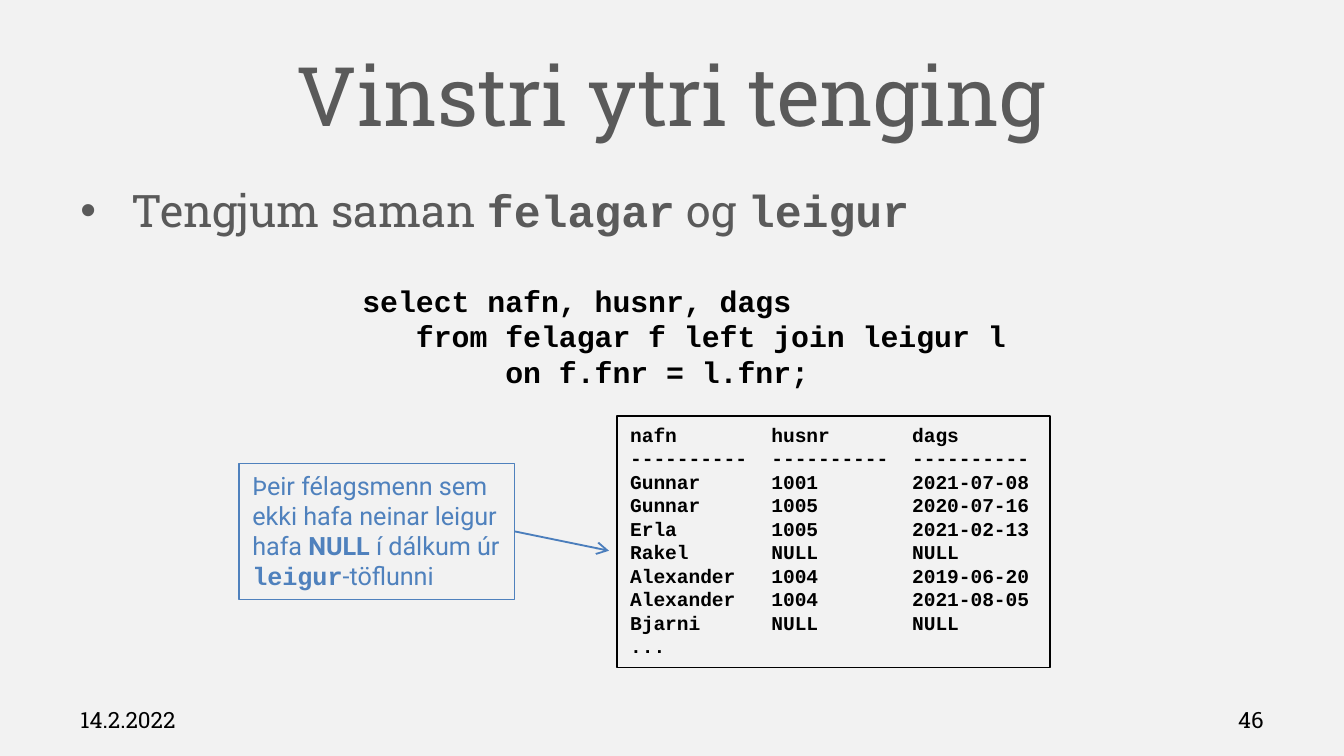
"""Build the slide on the left outer join."""
from lxml.etree import SubElement
from pptx import Presentation
from pptx.dml.color import RGBColor
from pptx.enum.shapes import MSO_CONNECTOR as Connector, MSO_SHAPE as Shape
from pptx.enum.text import MSO_ANCHOR as Anchor, PP_ALIGN as Align
from pptx.oxml.ns import qn
from pptx.util import Cm, Pt

SLAB, SANS, MONO = "Roboto Slab", "Roboto", "Courier New"
GREY, BLUE, BLACK = "5A5A5A", "4F81BD", "000000"


def color(value):
    return RGBColor.from_string(value)


def add_text(box, paragraphs, size, font=SLAB, fill=BLACK, bold=False, align=Align.LEFT,
             anchor=Anchor.TOP, border=None, bullet=None, tabs=()):
    left, top, width, height = (Cm(length) for length in box)
    if border:
        shape = slide.shapes.add_shape(Shape.RECTANGLE, left, top, width, height)
        shape.shadow.inherit = False
        shape.fill.background()
        shape.line.color.rgb = color(fill)
        shape.line.width = Pt(border)
    else:
        shape = slide.shapes.add_textbox(left, top, width, height)
    frame = shape.text_frame
    frame.word_wrap = True
    frame.vertical_anchor = anchor
    for index, runs in enumerate(paragraphs):
        paragraph = frame.add_paragraph() if index else frame.paragraphs[0]
        paragraph.alignment = align
        properties = paragraph._p.get_or_add_pPr()
        if bullet:
            properties.set("marL", str(Cm(0.97)))
            properties.set("indent", str(-Cm(0.97)))
            SubElement(properties, qn("a:buFont"), typeface="Arial")
            SubElement(properties, qn("a:buChar"), char=bullet)
        if tabs:
            tab_list = SubElement(properties, qn("a:tabLst"))
            for position in tabs:
                SubElement(tab_list, qn("a:tab"), pos=str(Cm(position)), algn="l")
        for text, run_font, run_bold in [(runs, font, bold)] if isinstance(runs, str) else runs:
            run = paragraph.add_run()
            run.text = text
            run.font.name = run_font
            run.font.size = Pt(size)
            run.font.bold = run_bold
            run.font.color.rgb = color(fill)
    return shape


presentation = Presentation()
presentation.slide_width = Cm(25.4)
presentation.slide_height = Cm(14.29)
slide = presentation.slides.add_slide(presentation.slide_layouts[6])
slide.background.fill.solid()
slide.background.fill.fore_color.rgb = color("F2F2F2")

add_text((1.27, 0.58, 22.86, 2.39), ["Vinstri ytri tenging"], 44, fill=GREY,
         align=Align.CENTER, anchor=Anchor.MIDDLE)

intro = [("Tengjum saman ", SLAB, False), ("felagar", MONO, True),
         (" og ", SLAB, False), ("leigur", MONO, True)]
add_text((1.27, 3.33, 22.86, 9.42), [intro], 24, fill=GREY, bullet="•")

query = ["select nafn, husnr, dags",
         "   from felagar f left join leigur l",
         "        on f.fnr = l.fnr;"]
add_text((6.6, 5.21, 13, 2.31), query, 16, font=MONO, bold=True)

result = [("nafn", "husnr", "dags"),
          ("-" * 10,) * 3,
          ("Gunnar", "1001", "2021-07-08"),
          ("Gunnar", "1005", "2020-07-16"),
          ("Erla", "1005", "2021-02-13"),
          ("Rakel", "NULL", "NULL"),
          ("Alexander", "1004", "2019-06-20"),
          ("Alexander", "1004", "2021-08-05"),
          ("Bjarni", "NULL", "NULL"),
          ("...",)]
add_text((11.66, 7.87, 8.18, 4.75), ["\t".join(row) for row in result], 10.5,
         font=MONO, bold=True, border=1, tabs=(2.67, 5.33))

explanation = [("Þeir félagsmenn sem ekki hafa neinar leigur hafa ", SANS, False),
               ("NULL", SANS, True), (" í dálkum úr ", SANS, False),
               ("leigur", MONO, True), ("-töflunni", SANS, False)]
note = add_text((4.52, 8.76, 5.21, 2.57), [explanation], 13.5, fill=BLUE, border=0.75)

arrow = slide.shapes.add_connector(Connector.STRAIGHT, Cm(9.73), Cm(10.04), Cm(11.51), Cm(10.41))
arrow.begin_connect(note, 3)
arrow.line.color.rgb = color("4B7EBC")
arrow.line.width = Pt(1)
SubElement(arrow.line._get_or_add_ln(), qn("a:tailEnd"), type="arrow")
SubElement(arrow._element.spPr, qn("a:effectLst"))

for left, text, align in [(1.27, "14.2.2022", Align.LEFT), (18.21, "46", Align.RIGHT)]:
    add_text((left, 13.23, 5.92, 0.76), [text], 12, align=align, anchor=Anchor.MIDDLE)

presentation.save("out.pptx")
